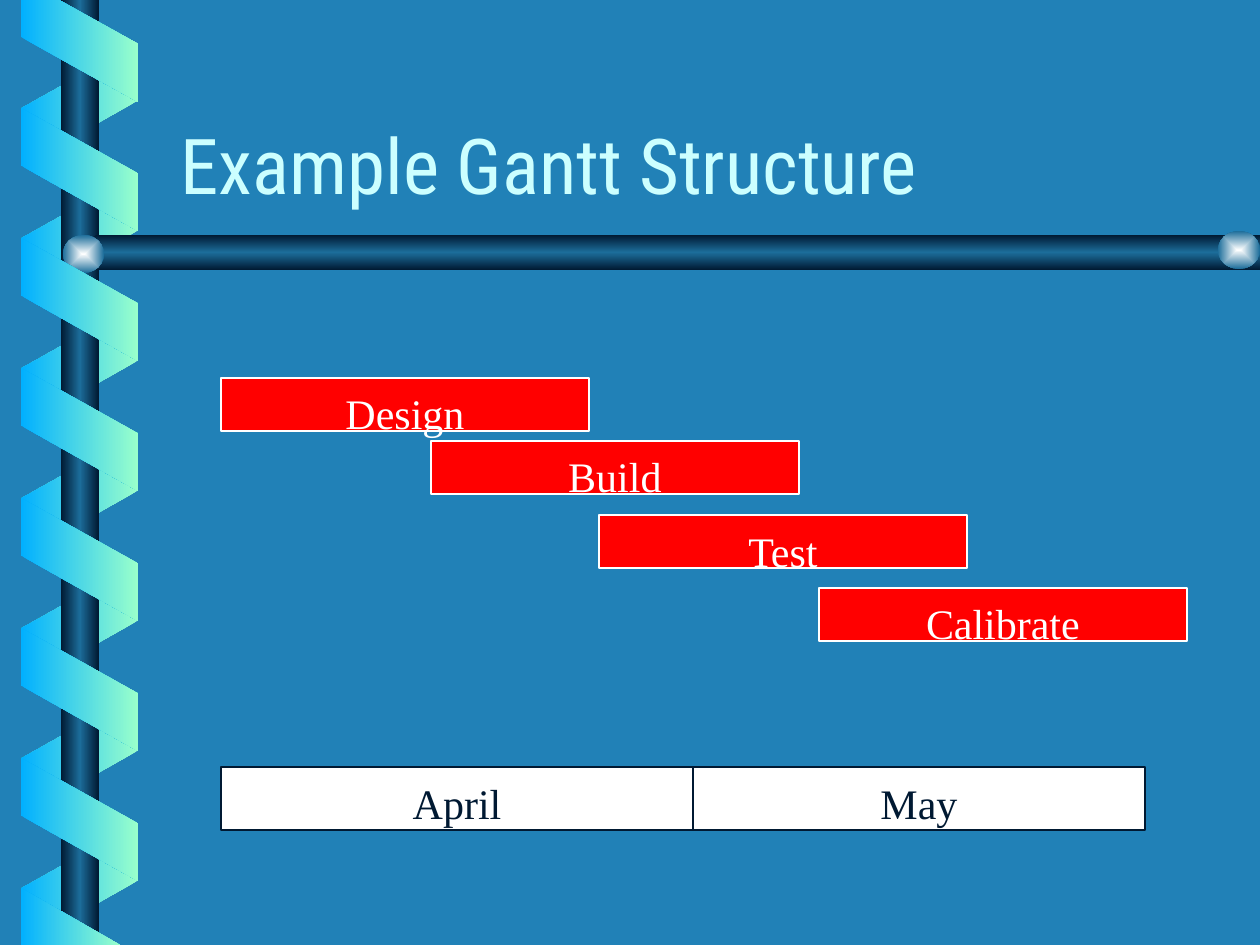
"""Build the Gantt structure slide with its ribbon and rail decoration."""
from pptx import Presentation, util as u
from pptx.dml.color import RGBColor
from pptx.enum import shapes, text
from pptx.oxml import parse_xml
from pptx.oxml.ns import nsdecls

PIXEL = 914400 / 126
THEME = {
    "back": "2181B7", "title": "CCFFFF", "bar": "FF0000", "white": "FFFFFF", "ink": "001932",
    "ribbon": [(0, "01B0FF"), (100, "99FFCC")],
    "ribbon_back": [(0, "99FFCC"), (100, "01B0FF")],
    "rail": [(0, "001932"), (50, "1C6D9A"), (100, "001932")],
    "knob": [(0, "FEFFFF"), (100, "1C6D9A")],
    "title_font": "Roboto Condensed", "title_size": 44,
    "body_font": "Times New Roman", "body_size": 24,
}
KIND = shapes.MSO_SHAPE


def paint_gradient(shape, stops, angle=None):
    """Fill a shape with a linear gradient, or a centred one without an angle."""
    shape.shadow.inherit = False
    shape.line.fill.background()
    shape.fill.background()
    marks = "".join(
        f'<a:gs pos="{place * 1000}"><a:srgbClr val="{color}"/></a:gs>' for place, color in stops)
    course = (f'<a:lin ang="{angle * 60000}" scaled="0"/>' if angle is not None else
              '<a:path path="shape"><a:fillToRect l="50000" t="50000" r="50000" b="50000"/></a:path>')
    gradient = parse_xml(
        f'<a:gradFill {nsdecls("a")} rotWithShape="0"><a:gsLst>{marks}</a:gsLst>{course}</a:gradFill>')
    properties = shape._element.spPr
    properties.replace(properties.find("{*}noFill"), gradient)


def add_box(kind, *bounds):
    """Add a preset shape with its bounds in pixels."""
    return page.shapes.add_shape(kind, *(round(value * PIXEL) for value in bounds))


deck = Presentation()
deck.slide_width, deck.slide_height = u.Inches(10), u.Inches(7.5)
page = deck.slides.add_slide(deck.slide_layouts[5])
page.background.fill.solid()
page.background.fill.fore_color.rgb = RGBColor.from_string(THEME["back"])

STEP = 130
for row in range(7):
    ribbon = add_box(KIND.PARALLELOGRAM, 18, 46 + row * STEP, 123, 117)
    ribbon.rotation = 90
    ribbon.adjustments[0] = 0.56
    ribbon._element.spPr.find("{*}xfrm").set("flipH", "1")
    paint_gradient(ribbon, THEME["ribbon_back"], 0)

for kind, bounds, stops, angle in [
    (KIND.RECTANGLE, (61, 0, 38, 945), "rail", 0),
    (KIND.PENTAGON, (76, 235, 1184, 35), "rail", 90),
    (KIND.OVAL, (63, 235, 41, 38), "knob", None),
    (KIND.OVAL, (1218, 231, 42, 38), "knob", None),
]:
    part = add_box(kind, *bounds)
    if kind == KIND.PENTAGON:
        part.adjustments[0] = 0.59
        part._element.spPr.find("{*}xfrm").set("flipH", "1")
    paint_gradient(part, THEME[stops], angle)

for row in range(6):
    ribbon = add_box(KIND.PARALLELOGRAM, 18, 111 + row * STEP, 123, 117)
    ribbon.rotation = 270
    ribbon.adjustments[0] = 0.56
    paint_gradient(ribbon, THEME["ribbon"], 0)

for start, *corners in [
    [(21, 0), (21, 37), (138, 102), (138, 44), (59, 0)],
    [(120, 945), (21, 888), (21, 945)],
]:
    outline = page.shapes.build_freeform(*start, scale=PIXEL)
    outline.add_line_segments(corners, close=True)
    paint_gradient(outline.convert_to_shape(), THEME["ribbon"], 0)

title = page.shapes.title
for name, value in {"left": 168, "top": 58, "width": 1071, "height": 158}.items():
    setattr(title, name, round(value * PIXEL))
frame = title.text_frame
frame.text = "Example Gantt Structure"
for name, value in {"vertical_anchor": text.MSO_ANCHOR.BOTTOM, "word_wrap": True,
                    "auto_size": text.MSO_AUTO_SIZE.NONE}.items():
    setattr(frame, name, value)
para = frame.paragraphs[0]
para.alignment = text.PP_ALIGN.LEFT
for name, value in {"name": THEME["title_font"], "size": u.Pt(THEME["title_size"])}.items():
    setattr(para.runs[0].font, name, value)
para.runs[0].font.color.rgb = RGBColor.from_string(THEME["title"])

tasks = [("Design", 221, 378), ("Build", 431, 441), ("Test", 599, 515), ("Calibrate", 819, 588)]
months = [("April", 221, 472), ("May", 693, 452)]
boxes = [(label, (left, top, 368, 53), "bar", "white", "white") for label, left, top in tasks]
boxes += [(label, (left, 767, width, 63), "white", "ink", "ink") for label, left, width in months]
for label, bounds, fill, line, ink in boxes:
    box = add_box(KIND.RECTANGLE, *bounds)
    box.shadow.inherit = False
    box.fill.solid()
    box.fill.fore_color.rgb = RGBColor.from_string(THEME[fill])
    box.line.color.rgb = RGBColor.from_string(THEME[line])
    box.line.width = u.Pt(0.75)
    frame = box.text_frame
    for name, value in {"word_wrap": True, "vertical_anchor": text.MSO_ANCHOR.TOP,
                        "margin_top": round(10 * PIXEL), "margin_bottom": 0}.items():
        setattr(frame, name, value)
    para = frame.paragraphs[0]
    para.alignment = text.PP_ALIGN.CENTER
    span = para.add_run()
    span.text = label
    for name, value in {"name": THEME["body_font"], "size": u.Pt(THEME["body_size"])}.items():
        setattr(span.font, name, value)
    span.font.color.rgb = RGBColor.from_string(THEME[ink])

deck.save("out.pptx")
